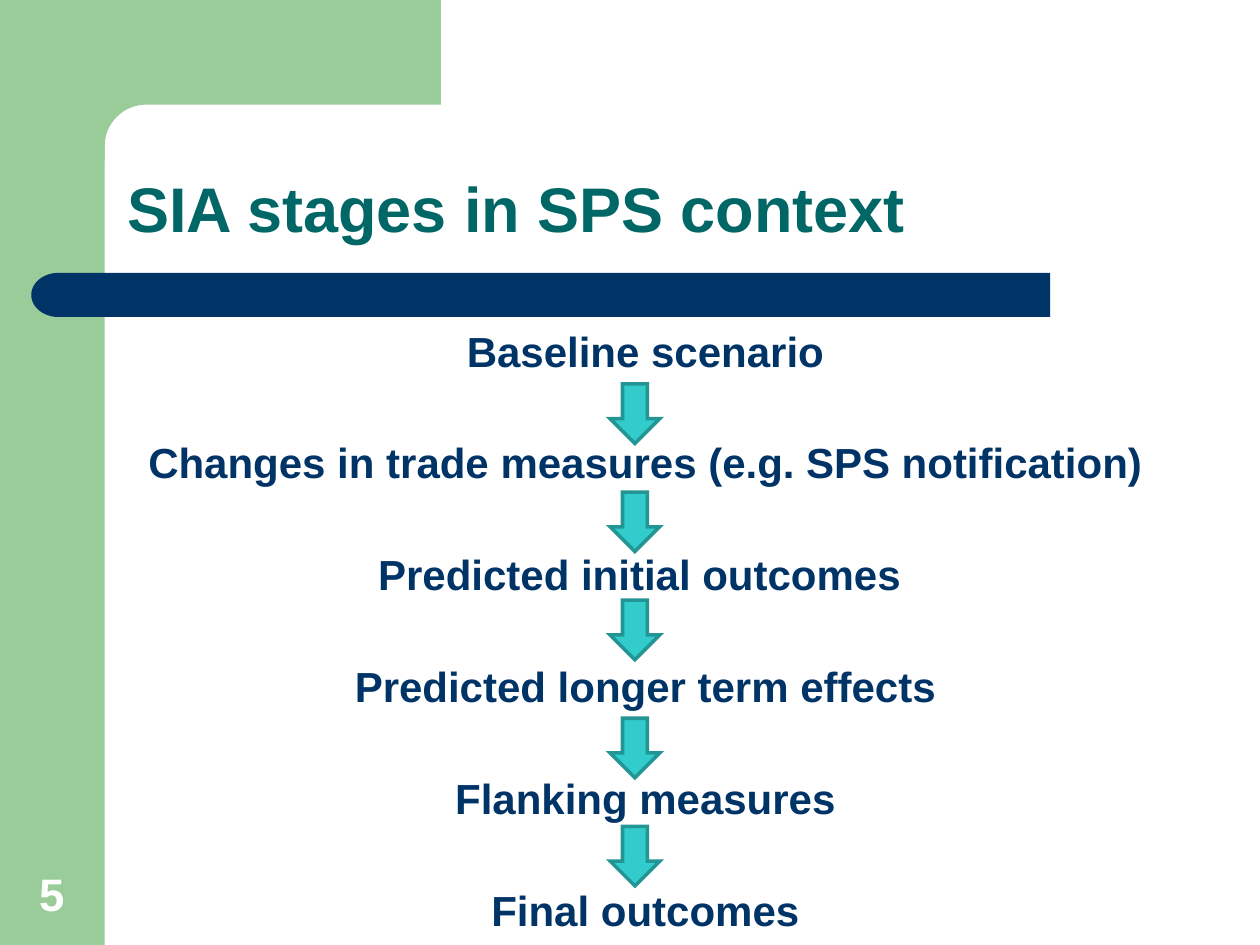
import math

from pptx import Presentation
from pptx import util as u
from pptx.dml.color import RGBColor
from pptx.enum import shapes, text
from pptx.oxml.ns import qn
from lxml import etree

COLORS = {"green": "99CC99", "navy": "003366", "teal": "006666",
          "arrow": "33CCCC", "arrow_edge": "239595", "white": "FFFFFF"}
STAGES = ["Baseline scenario",
          "Changes in trade measures (e.g. SPS notification)",
          "Predicted initial outcomes ",
          "Predicted longer term effects",
          "Flanking measures",
          "Final outcomes"]
ARROW_TOPS = [7.74, 9.92, 12.1, 14.48, 16.66]
KIND = shapes.MSO_SHAPE


def paint(shape, fill, line=None):
    shape.shadow.inherit = False
    shape.fill.solid()
    shape.fill.fore_color.rgb = RGBColor.from_string(COLORS[fill])
    if line:
        shape.line.color.rgb = RGBColor.from_string(COLORS[line])
        shape.line.width = u.Pt(2)
        etree.SubElement(shape.line._get_or_add_ln(), qn("a:miter"), lim="800000")
    else:
        shape.line.fill.background()


def write(shape, box, lines, size, color, anchor, paragraph_format):
    shape.left, shape.top, shape.width, shape.height = map(u.Cm, box)
    frame = shape.text_frame
    frame.word_wrap = True
    frame.auto_size = text.MSO_AUTO_SIZE.NONE
    frame.vertical_anchor = anchor
    frame.text = "\n".join(lines)
    for index, paragraph in enumerate(frame.paragraphs):
        properties = paragraph._p.get_or_add_pPr()
        properties.set("marL", "0")
        properties.set("indent", "0")
        etree.SubElement(properties, qn("a:buNone"))
        for name, value in paragraph_format.items():
            setattr(paragraph, name, value)
        if index == 0:
            paragraph.space_before = u.Pt(0)
        font_format = {"name": "Arial", "size": u.Pt(size), "bold": True}
        for run in paragraph.runs:
            for name, value in font_format.items():
                setattr(run.font, name, value)
            run.font.color.rgb = RGBColor.from_string(COLORS[color])


presentation = Presentation()
presentation.slide_width, presentation.slide_height = u.Cm(25.4), u.Cm(19.05)
slide = presentation.slides.add_slide(presentation.slide_layouts[1])
title, body = slide.placeholders

# Green side band and top block with a rounded inner corner
band = slide.shapes.add_shape(KIND.RECTANGLE, 0, 0, u.Cm(2.11), u.Cm(19.05))
paint(band, "green")
radius, corner = 0.84, 2.95
curve = [(corner - radius * math.sin(math.radians(angle)),
          corner - radius * math.cos(math.radians(angle)))
         for angle in range(0, 91, 5)]
outline = [(8.89, 0), (8.89, 2.11), *curve, (2.11, 3.25), (1.27, 3.25), (1.27, 0)]
points = [(u.Cm(x), u.Cm(y)) for x, y in outline]
builder = slide.shapes.build_freeform(*points[0])
builder.add_line_segments(points[1:], close=True)
paint(builder.convert_to_shape(), "green")

# Navy bar with a round left end
bar = slide.shapes.add_shape(KIND.ROUNDED_RECTANGLE,
                             u.Cm(1.7), u.Cm(5.5), u.Cm(19.47), u.Cm(0.89))
bar.adjustments[0] = 0
paint(bar, "navy")
bar_end = slide.shapes.add_shape(KIND.FLOWCHART_DELAY,
                                 u.Cm(0.63), u.Cm(5.5), u.Cm(1.09), u.Cm(0.89))
bar_end.rotation = 180
paint(bar_end, "navy")

# Title and stages, in front of the backdrop
for placeholder in (title, body):
    slide.shapes._spTree.append(placeholder._element)
write(title, (2.31, 2.31, 21.62, 2.77), ["SIA stages in SPS context"], 36, "teal",
      text.MSO_ANCHOR.BOTTOM,
      {"alignment": text.PP_ALIGN.LEFT, "line_spacing": 0.9})
write(body, (2.33, 6.54, 21.36, 12.5), STAGES, 24, "navy", text.MSO_ANCHOR.TOP,
      {"alignment": text.PP_ALIGN.CENTER, "line_spacing": 0.9,
       "space_before": u.Pt(38)})

# Arrows in the gaps between the stages
for top in ARROW_TOPS:
    arrow = slide.shapes.add_shape(KIND.DOWN_ARROW,
                                   u.Cm(12.3), u.Cm(top), u.Cm(1), u.Cm(1.2))
    paint(arrow, "arrow", "arrow_edge")

# Slide number
number = slide.shapes.add_textbox(0, 0, 0, 0)
write(number, (0.23, 17.33, 1.63, 1.35), ["5"], 26, "white",
      text.MSO_ANCHOR.BOTTOM, {"alignment": text.PP_ALIGN.CENTER})

presentation.save("out.pptx")
